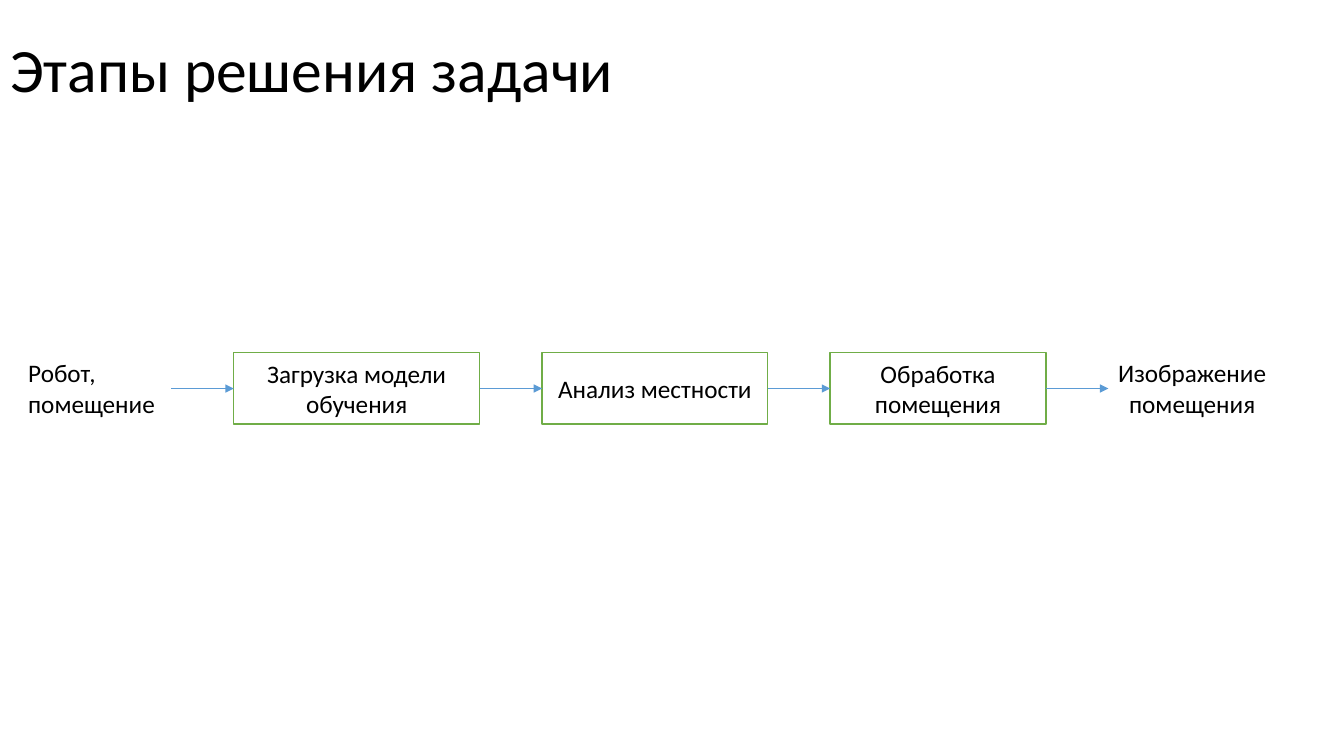
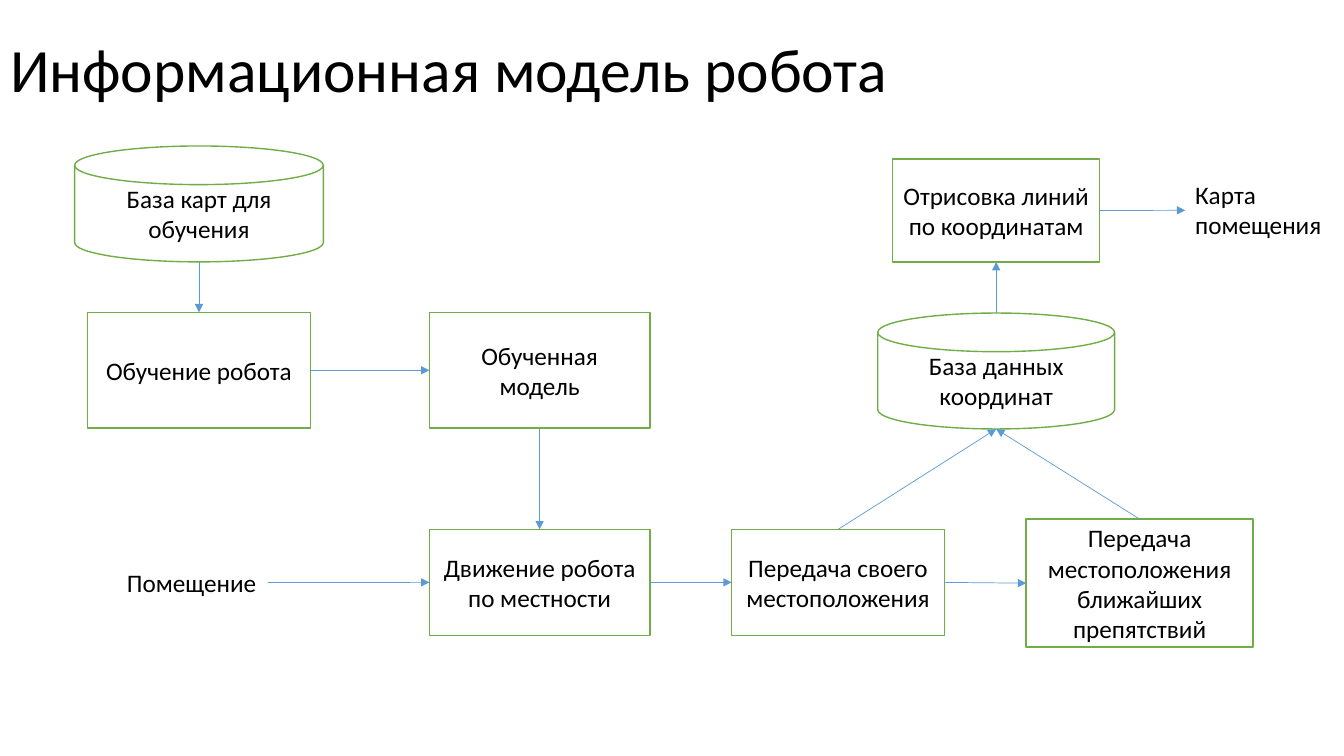
from lxml.etree import SubElement
from pptx import Presentation
from pptx.dml.color import RGBColor
from pptx.enum.shapes import MSO_CONNECTOR, MSO_SHAPE as SHAPE
from pptx.enum.text import MSO_ANCHOR as ANCHOR, MSO_AUTO_SIZE as AUTO, PP_ALIGN as ALIGN
from pptx.oxml.ns import qn
from pptx.util import Cm, Pt

BLACK, WHITE, GREEN, BLUE = "000000", "FFFFFF", "70AD47", "5B9BD5"
FONT = "Calibri"
TITLE_ONLY = 5
TOP, LEFT, BOTTOM, RIGHT = range(4)
TITLE_BOX = {"left": Cm(0), "top": Cm(0), "width": Cm(29.21), "height": Cm(3.68)}
TITLE_FRAME = {"word_wrap": True, "auto_size": AUTO.NONE, "vertical_anchor": ANCHOR.MIDDLE}
NODE_FRAME = {"word_wrap": True, "vertical_anchor": ANCHOR.MIDDLE}


def rgb(color):
    return RGBColor.from_string(color)


def apply(target, values):
    for name, value in values.items():
        setattr(target, name, value)


def write(tf, lines, aligns, size=18, spacing=None):
    for i, (line, align) in enumerate(zip(lines, aligns)):
        p = tf.paragraphs[0] if i == 0 else tf.add_paragraph()
        apply(p, {"alignment": align, "line_spacing": spacing})
        r = p.add_run()
        r.text = line
        apply(r.font, {"name": FONT, "size": Pt(size)})
        r.font.color.rgb = rgb(BLACK)


def add_slide(prs, title):
    s = prs.slides.add_slide(prs.slide_layouts[TITLE_ONLY])
    sp = s.shapes.title
    apply(sp, TITLE_BOX)
    apply(sp.text_frame, TITLE_FRAME)
    write(sp.text_frame, [title], [ALIGN.LEFT], size=44, spacing=0.9)
    return s


def add_node(s, text, left, top, width, height, kind=SHAPE.RECTANGLE):
    sp = s.shapes.add_shape(kind, Cm(left), Cm(top), Cm(width), Cm(height))
    sp.shadow.inherit = False
    sp.fill.solid()
    sp.fill.fore_color.rgb = rgb(WHITE)
    sp.line.color.rgb = rgb(GREEN)
    sp.line.width = Pt(1)
    apply(sp.text_frame, NODE_FRAME)
    write(sp.text_frame, [text], [ALIGN.CENTER])
    return sp


def add_label(s, lines, left, top, width, height, wrap=False, last=ALIGN.LEFT):
    sp = s.shapes.add_textbox(Cm(left), Cm(top), Cm(width), Cm(height))
    apply(sp.text_frame, {"word_wrap": wrap, "auto_size": AUTO.SHAPE_TO_FIT_TEXT})
    write(sp.text_frame, lines, [ALIGN.LEFT] * (len(lines) - 1) + [last])
    return sp


def side_point(sp, side):
    mid_x, mid_y = sp.left + sp.width // 2, sp.top + sp.height // 2
    return {
        TOP: (mid_x, sp.top),
        LEFT: (sp.left, mid_y),
        BOTTOM: (mid_x, sp.top + sp.height),
        RIGHT: (sp.left + sp.width, mid_y),
    }[side]


def add_arrow(s, source, out_side, target, in_side):
    start, end = side_point(source, out_side), side_point(target, in_side)
    line = s.shapes.add_connector(MSO_CONNECTOR.STRAIGHT, *start, *end)
    line.line.color.rgb = rgb(BLUE)
    line.line.width = Pt(0.5)
    SubElement(line.line._get_or_add_ln(), qn("a:tailEnd"), type="triangle")
    SubElement(line._element.spPr, qn("a:effectLst"))


def build_stages(prs):
    s = add_slide(prs, "Этапы решения задачи")
    top, height, gap, left = 8.89, 1.8, 1.57, 0.46
    width = 3.86
    steps = [add_label(s, ["Робот, помещение"], left, top, width, height, wrap=True)]
    left += width + gap
    for text, width in [
        ("Загрузка модели обучения", 6.2),
        ("Анализ местности", 5.69),
        ("Обработка помещения", 5.44),
    ]:
        steps.append(add_node(s, text, left, top, width, height))
        left += width + gap
    steps.append(add_label(s, ["Изображение", "помещения"], left, top, 4.29, height,
                           last=ALIGN.CENTER))
    for source, target in zip(steps, steps[1:]):
        add_arrow(s, source, RIGHT, target, LEFT)


def build_model(prs):
    s = add_slide(prs, "Информационная модель робота")
    disk = SHAPE.FLOWCHART_MAGNETIC_DISK
    maps = add_node(s, "База карт для обучения", 1.88, 3.68, 6.27, 2.92, disk)
    training = add_node(s, "Обучение робота", 2.21, 7.87, 5.61, 2.92)
    model = add_node(s, "Обученная модель", 10.82, 7.87, 5.56, 2.92)
    coords = add_node(s, "База данных координат", 22.12, 7.89, 5.97, 2.92, disk)
    drawing = add_node(s, "Отрисовка линий по координатам", 22.5, 4.01, 5.21, 2.59)
    room = add_label(s, ["Помещение"], 2.95, 14.17, 3.81, 1.02)
    motion = add_node(s, "Движение робота по местности", 10.82, 13.34, 5.56, 2.67)
    position = add_node(s, "Передача своего местоположения", 18.44, 13.34, 5.36, 2.67)
    obstacles = add_node(s, "Передача местоположения ближайших препятствий",
                         25.86, 13.08, 5.72, 3.23)
    room_map = add_label(s, ["Карта", "помещения"], 29.87, 4.4, 3.73, 1.8)
    for source, out_side, target, in_side in [
        (maps, BOTTOM, training, TOP),
        (training, RIGHT, model, LEFT),
        (model, BOTTOM, motion, TOP),
        (room, RIGHT, motion, LEFT),
        (motion, RIGHT, position, LEFT),
        (position, RIGHT, obstacles, LEFT),
        (position, TOP, coords, BOTTOM),
        (obstacles, TOP, coords, BOTTOM),
        (coords, TOP, drawing, BOTTOM),
        (drawing, RIGHT, room_map, LEFT),
    ]:
        add_arrow(s, source, out_side, target, in_side)


def main():
    prs = Presentation()
    apply(prs, {"slide_width": Cm(33.87), "slide_height": Cm(19.05)})
    build_stages(prs)
    build_model(prs)
    prs.save("out.pptx")


if __name__ == "__main__":
    main()
